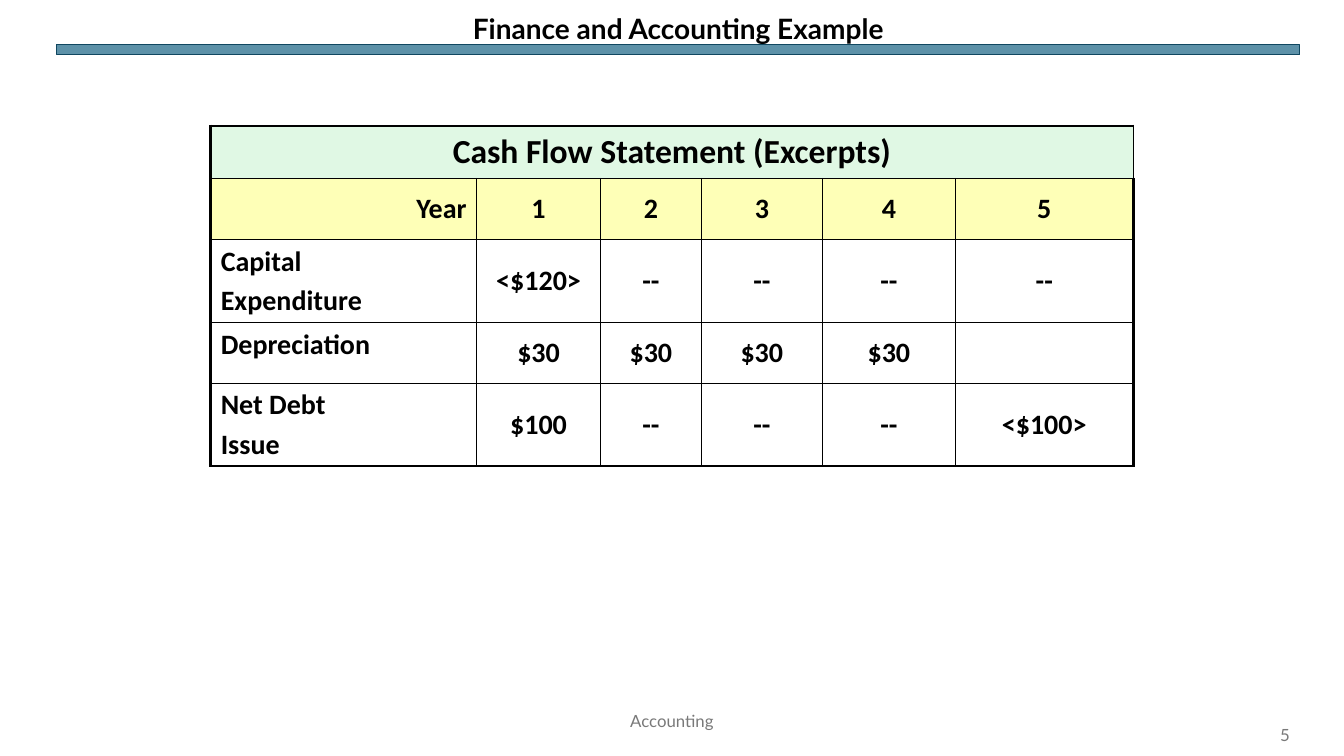
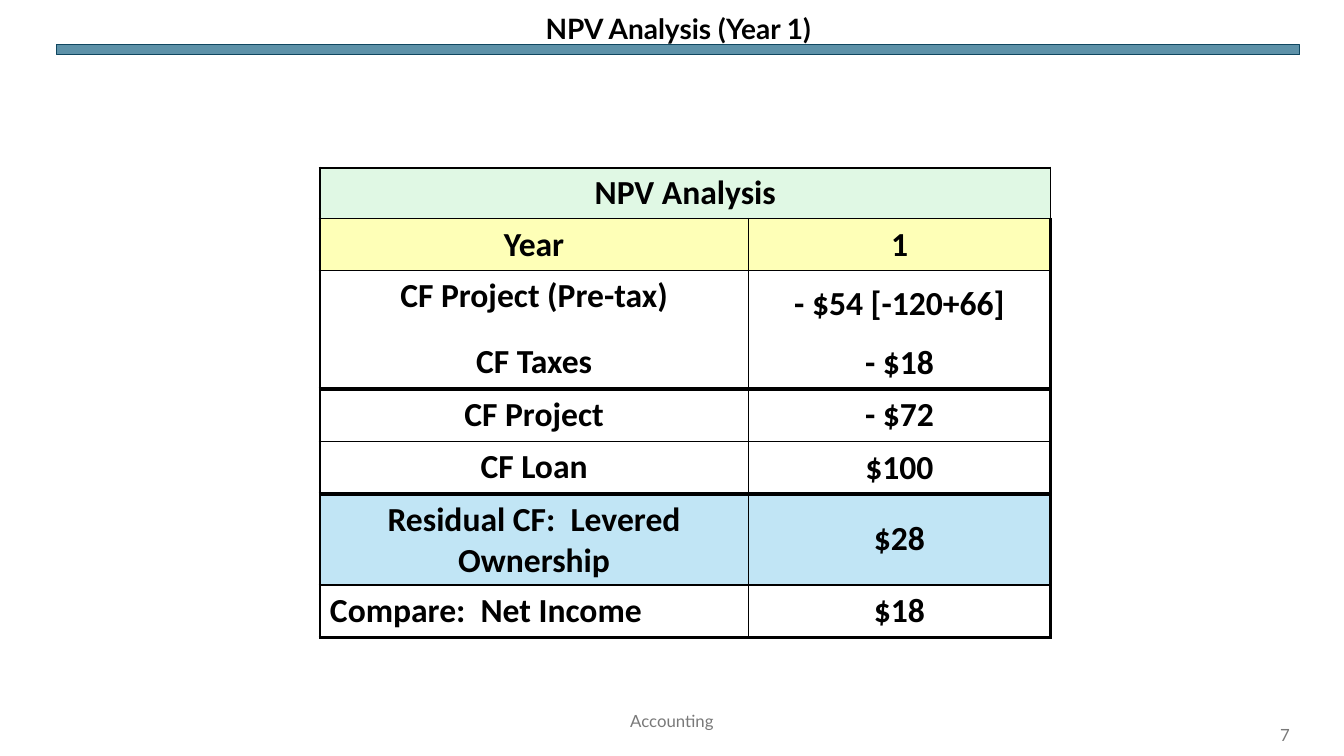
"""Build two accounting slides, each with one bordered table."""
from dataclasses import dataclass

import lxml.etree
import pptx
import pptx.dml.color
import pptx.enum.shapes
import pptx.enum.text
import pptx.oxml.ns
import pptx.slide
import pptx.table
import pptx.text.text
import pptx.util

Pt = pptx.util.Pt
ALIGN = pptx.enum.text.PP_ALIGN
MID = pptx.enum.text.MSO_ANCHOR.MIDDLE
LOW = pptx.enum.text.MSO_ANCHOR.BOTTOM
TOP = pptx.enum.text.MSO_ANCHOR.TOP

BLACK, GRAY, TEAL, EDGE = "000000", "797979", "156082", "104760"
GREEN, CREAM, BLUE = "E0F8E4", "FEFFB7", "C1E5F5"
THIN, FRAME, HEAVY = 1, 2.25, 3

HEAD = {"name": "Lato", "size": Pt(20), "bold": True}
FOOT = {"name": "Lato", "size": Pt(12), "bold": False}
SMALL = {"name": "Calibri", "size": Pt(20), "bold": True}
LARGE = {"name": "Calibri", "size": Pt(24), "bold": True}


@dataclass
class Row:
    high: float
    texts: list[str]
    fill: str = ""
    form: dict | None = None
    align: ALIGN = ALIGN.CENTER
    under: float = THIN


@dataclass
class Page:
    title: str
    number: str
    left: float
    top: float
    cols: list[float]
    rows: list[Row]
    form: dict


PAGES = [
    Page("Finance and Accounting Example", "5", 150.5, 90,
         [190, 88.5, 72, 86.5, 95, 127],
         [Row(37.5, ["Cash Flow Statement (Excerpts)"], GREEN, LARGE),
          Row(43.5, ["Year", "1", "2", "3", "4", "5"], CREAM, align=ALIGN.RIGHT),
          Row(51, ["Capital\nExpenditure", "<$120>"] + ["--"] * 4, align=ALIGN.LEFT),
          Row(43.5, ["Depreciation"] + ["$30"] * 4 + [""], align=ALIGN.LEFT),
          Row(43.5, ["Net Debt\nIssue", "$100", "--", "--", "--", "<$100>"],
              align=ALIGN.LEFT)],
         SMALL),
    Page("NPV Analysis (Year 1)", "7", 228.5, 120, [306, 216],
         [Row(36, ["NPV Analysis"], GREEN),
          Row(37.5, ["Year", "1"], CREAM),
          Row(47, ["CF Project (Pre-tax)", "- $54 [-120+66]"], under=0),
          Row(37.5, ["CF Taxes", "- $18"], under=HEAVY),
          Row(37.5, ["CF Project", "- $72"]),
          Row(37.5, ["CF Loan", "$100"], under=HEAVY),
          Row(65, ["Residual CF:  Levered Ownership", "$28"], BLUE),
          Row(37.5, ["Compare:  Net Income", "$18"], align=ALIGN.LEFT)],
         LARGE),
]


def shade(code: str) -> pptx.dml.color.RGBColor:
    return pptx.dml.color.RGBColor.from_string(code)


def write(frame: pptx.text.text.TextFrame, text: str, form: dict,
          align: ALIGN, color: str = BLACK) -> None:
    frame.text = text
    for spot, para in enumerate(frame.paragraphs):
        para.alignment = align
        if spot:
            para.space_before = Pt(form["size"].pt * 0.2)
        for key, value in form.items():
            setattr(para.font, key, value)
        para.font.color.rgb = shade(color)


def label(slide: pptx.slide.Slide, box: tuple, text: str, form: dict,
          align: ALIGN, color: str) -> pptx.text.text.TextFrame:
    frame = slide.shapes.add_textbox(*map(Pt, box)).text_frame
    frame.word_wrap = True
    frame.vertical_anchor = MID
    write(frame, text, form, align, color)
    return frame


def band(slide: pptx.slide.Slide) -> None:
    kind = pptx.enum.shapes.MSO_SHAPE.RECTANGLE
    bar = slide.shapes.add_shape(kind, Pt(40.5), Pt(32), Pt(888), Pt(7.2))
    bar.shadow.inherit = False
    bar.fill.solid()
    bar.fill.fore_color.rgb = shade(TEAL)
    paint = bar.fill._xPr.find(".//" + pptx.oxml.ns.qn("a:srgbClr"))
    lxml.etree.SubElement(paint, pptx.oxml.ns.qn("a:alpha"), val="69000")
    bar.line.color.rgb = shade(EDGE)
    bar.line.width = Pt(0)


def rule(cell: pptx.table._Cell, sides: dict[str, float]) -> None:
    props = cell._tc.get_or_add_tcPr()
    for side, width in sides.items():
        line = lxml.etree.SubElement(props, pptx.oxml.ns.qn("a:ln" + side),
                                     w=str(int(Pt(width))))
        if width:
            fill = lxml.etree.SubElement(line, pptx.oxml.ns.qn("a:solidFill"))
            lxml.etree.SubElement(fill, pptx.oxml.ns.qn("a:srgbClr"), val=BLACK)
        else:
            lxml.etree.SubElement(line, pptx.oxml.ns.qn("a:noFill"))


def grid(slide: pptx.slide.Slide, page: Page) -> None:
    rows, cols = page.rows, page.cols
    box = (page.left, page.top, sum(cols), sum(row.high for row in rows))
    table = slide.shapes.add_table(len(rows), len(cols), *map(Pt, box)).table
    table.first_row = table.horz_banding = False
    for col, width in zip(table.columns, cols):
        col.width = Pt(width)
    last = len(cols) - 1
    for y, row in enumerate(rows):
        table.rows[y].height = Pt(row.high)
        for x in range(len(cols)):
            cell = table.cell(y, x)
            rule(cell, {"L": THIN if x else FRAME,
                        "R": THIN if x < last else FRAME,
                        "T": rows[y - 1].under if y else FRAME,
                        "B": row.under if y < len(rows) - 1 else FRAME})
            if row.fill:
                cell.fill.solid()
                cell.fill.fore_color.rgb = shade(row.fill)
            else:
                cell.fill.background()
            cell.vertical_anchor = TOP if y > 1 and x == 0 else MID
            if x < len(row.texts):
                align = ALIGN.CENTER if x else row.align
                write(cell.text_frame, row.texts[x], row.form or page.form, align)
    table.cell(0, 0).merge(table.cell(0, last))


def build(slide: pptx.slide.Slide, page: Page) -> None:
    band(slide)
    title = label(slide, (40.5, 3.5, 888, 29), page.title, HEAD, ALIGN.CENTER, BLACK)
    for side in ("left", "top", "right", "bottom"):
        setattr(title, "margin_" + side, Pt(0))
    title.vertical_anchor = LOW
    title.paragraphs[0].line_spacing = 0.9
    grid(slide, page)
    label(slide, (318, 500.5, 324, 29), "Accounting", FOOT, ALIGN.CENTER, GRAY)
    label(slide, (880.5, 510, 48, 29), page.number, FOOT, ALIGN.RIGHT, GRAY)


def main() -> None:
    deck = pptx.Presentation()
    deck.slide_width, deck.slide_height = Pt(960), Pt(540)
    for page in PAGES:
        build(deck.slides.add_slide(deck.slide_layouts[6]), page)
    deck.save("out.pptx")


if __name__ == "__main__":
    main()
